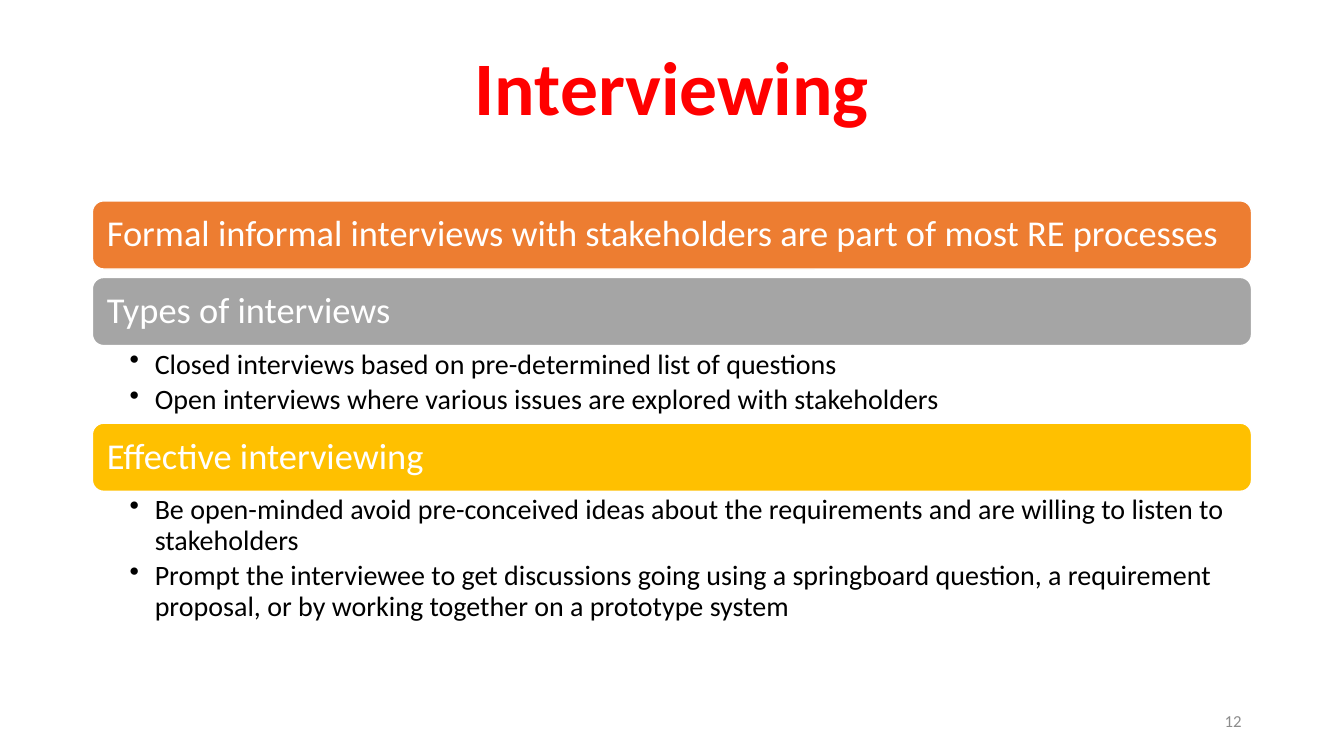
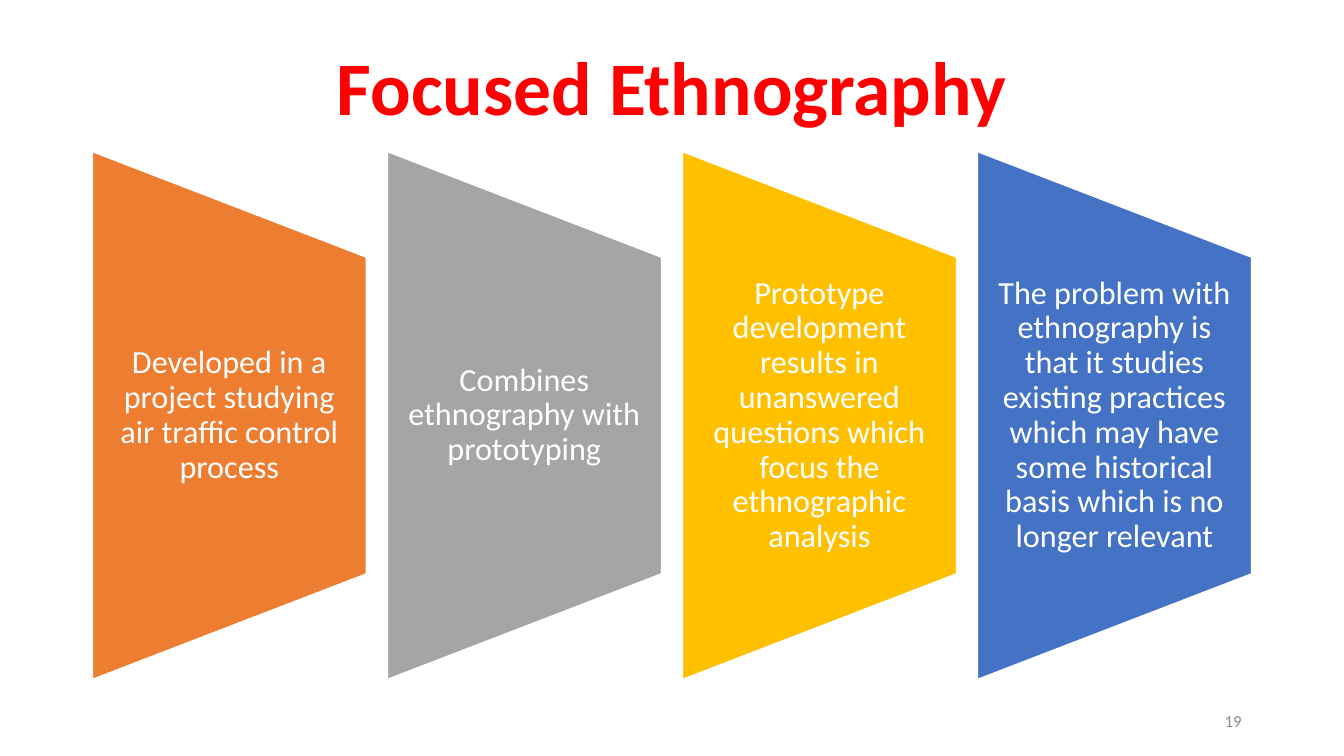
from lxml import etree
from pptx import Presentation
from pptx.dml.color import RGBColor
from pptx.enum import shapes, text
from pptx.oxml import ns
from pptx.util import Pt

RED = RGBColor(0xFF, 0x00, 0x00)
ORANGE = RGBColor(0xED, 0x7D, 0x31)
GREY = RGBColor(0xA5, 0xA5, 0xA5)
GOLD = RGBColor(0xFF, 0xC0, 0x00)
BLUE = RGBColor(0x44, 0x72, 0xC4)
WHITE = RGBColor(0xFF, 0xFF, 0xFF)
BLACK = RGBColor(0x00, 0x00, 0x00)
PALE = RGBColor(0x8C, 0x8C, 0x8C)
LEFT, WIDTH = 66, 828
KINDS = shapes.MSO_SHAPE
ALIGN = text.PP_ALIGN
ANCHOR = text.MSO_ANCHOR


def write(shape, *lines, size, color=WHITE, bold=False, align=ALIGN.LEFT,
          anchor=ANCHOR.MIDDLE, pad=(7.2, 3.6, 7.2, 3.6), gap=0,
          lead=0.9, bullet=False):
    """Fill a shape or text box with one paragraph per line."""
    frame = shape.text_frame
    frame.word_wrap = True
    frame.vertical_anchor = anchor
    (frame.margin_left, frame.margin_top,
     frame.margin_right, frame.margin_bottom) = [Pt(n) for n in pad]
    for i, line in enumerate(lines):
        para = frame.add_paragraph() if i else frame.paragraphs[0]
        para.text = line
        para.alignment = align
        para.line_spacing = lead
        para.space_after = Pt(gap)
        if bullet:
            para.level = 1
            props = para._p.get_or_add_pPr()
            props.set("marL", str(Pt(18)))
            props.set("indent", str(Pt(-18)))
            mark = etree.SubElement(props, ns.qn("a:buChar"))
            mark.set("char", "•")
        font = para.font
        font.name, font.size, font.bold = "Calibri", Pt(size), bold
        font.color.rgb = color


def draw(slide, kind, fill, *box):
    """Add a filled shape with a thin white edge."""
    shape = slide.shapes.add_shape(kind, *[Pt(n) for n in box])
    shape.shadow.inherit = False
    shape.fill.solid()
    shape.fill.fore_color.rgb = fill
    shape.line.color.rgb = WHITE
    shape.line.width = Pt(1)
    return shape


deck = Presentation()
deck.slide_width, deck.slide_height = Pt(960), Pt(540)

# Shared title and page number
pages = []
for title, number in [("Interviewing", "12"), ("Focused Ethnography", "19")]:
    slide = deck.slides.add_slide(deck.slide_layouts[6])
    head = slide.shapes.add_textbox(Pt(LEFT), Pt(28.75), Pt(WIDTH), Pt(72))
    write(head, title, size=54, color=RED, bold=True, align=ALIGN.CENTER)
    foot = slide.shapes.add_textbox(Pt(678), Pt(500.5), Pt(216), Pt(28.75))
    write(foot, number, size=12, color=PALE, align=ALIGN.RIGHT, lead=1)
    pages.append(slide)
talk, study = pages

# Interviewing: bars, each with an optional bullet list below
topics = [
    (ORANGE, "Formal informal interviews with stakeholders are part of most "
             "RE processes", 6, []),
    (GREY, "Types of interviews", 55.4, [
        "Closed interviews based on pre-determined list of questions",
        "Open interviews where various issues are explored with stakeholders",
    ]),
    (GOLD, "Effective interviewing", 99.4, [
        "Be open-minded avoid pre-conceived ideas about the requirements and "
        "are willing to listen to stakeholders",
        "Prompt the interviewee to get discussions going using a springboard "
        "question, a requirement proposal, or by working together on a "
        "prototype system",
    ]),
]
top, tall = 143.5, 48.7
for fill, label, room, points in topics:
    bar = draw(talk, KINDS.ROUNDED_RECTANGLE, fill, LEFT, top, WIDTH, tall)
    write(bar, label, size=26, pad=(8, 8, 8, 8))
    top += tall
    if points:
        body = talk.shapes.add_textbox(Pt(LEFT), Pt(top), Pt(WIDTH), Pt(room))
        write(body, *points, size=20, color=BLACK, anchor=ANCHOR.TOP,
              pad=(26.6, 3, 14.4, 3), gap=4, bullet=True)
    top += room

# Focused Ethnography: four panels turned on their side
panels = [
    (ORANGE, "Developed in a project studying air traffic control process"),
    (GREY, "Combines ethnography with prototyping"),
    (GOLD, "Prototype development results in unanswered questions which "
           "focus the ethnographic analysis"),
    (BLUE, "The problem with ethnography is that it studies existing "
           "practices which may have some historical basis which is no "
           "longer relevant"),
]
gap, long, mid, high = 15, 377, 296.8, 227
wide = (WIDTH - gap * (len(panels) - 1)) / len(panels)
for i, (fill, label) in enumerate(panels):
    left = LEFT + i * (wide + gap)
    panel = draw(study, KINDS.FLOWCHART_MANUAL_OPERATION, fill,
                 left + (wide - long) / 2, mid - wide / 2, long, wide)
    panel.rotation = 270
    note = study.shapes.add_textbox(Pt(left), Pt(mid - high / 2),
                                    Pt(wide), Pt(high))
    write(note, label, size=23, align=ALIGN.CENTER, pad=(11.5, 0, 11.5, 0))

deck.save("out.pptx")
